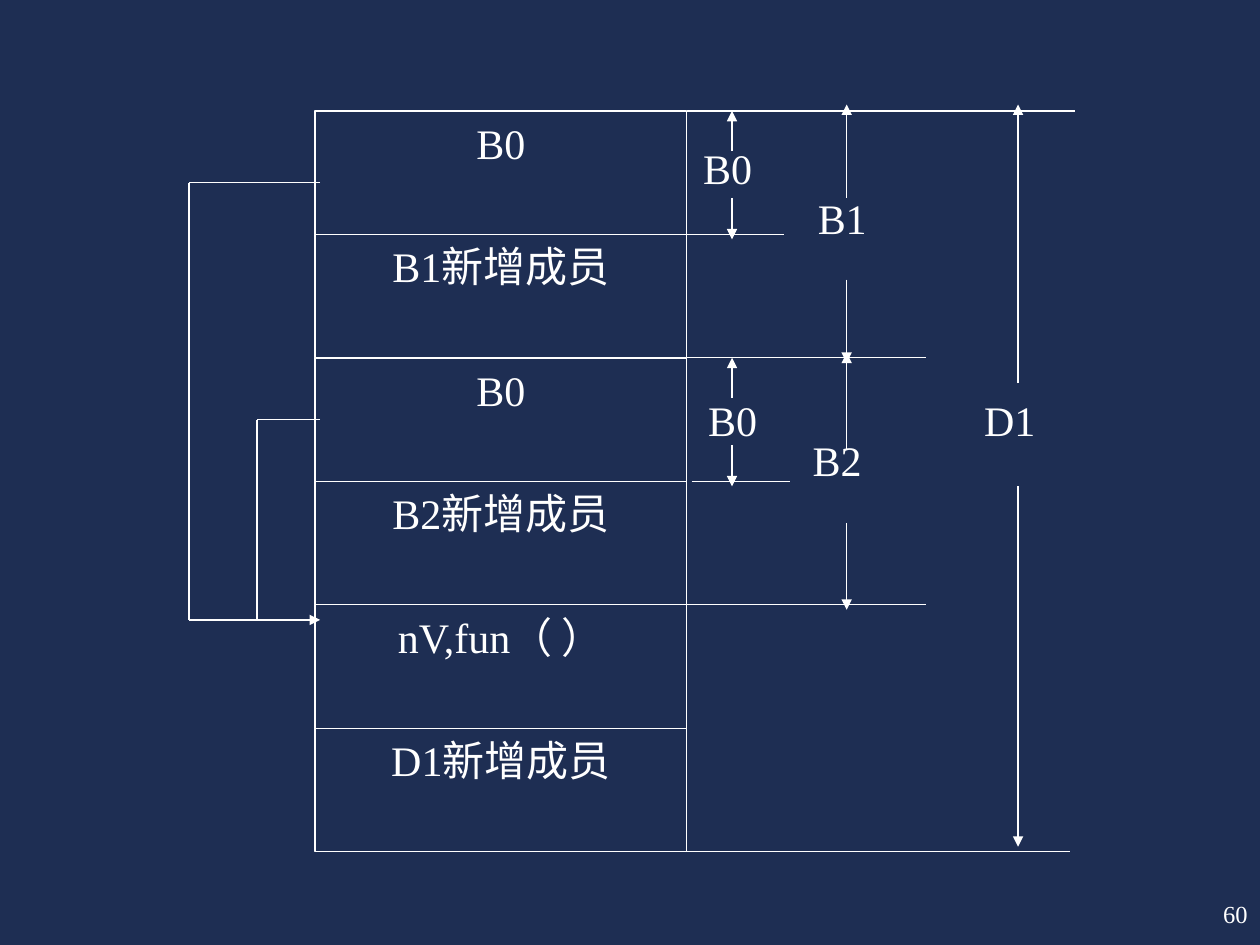
from dataclasses import dataclass

from lxml import etree
from pptx import Presentation
from pptx.dml.color import RGBColor
from pptx.enum.shapes import MSO_CONNECTOR, MSO_SHAPE
from pptx.enum.text import MSO_ANCHOR, PP_ALIGN
from pptx.oxml.ns import qn
from pptx.util import Inches, Pt

RECTANGLE = MSO_SHAPE.RECTANGLE
STRAIGHT = MSO_CONNECTOR.STRAIGHT
TOP, MIDDLE = MSO_ANCHOR.TOP, MSO_ANCHOR.MIDDLE
CENTER, JUSTIFY, RIGHT = PP_ALIGN.CENTER, PP_ALIGN.JUSTIFY, PP_ALIGN.RIGHT


@dataclass(frozen=True)
class Theme:
    """Colours, font and sizes of the slide."""
    background: RGBColor = RGBColor(0x1E, 0x2E, 0x53)
    foreground: RGBColor = RGBColor(0xFF, 0xFF, 0xFF)
    font: str = "Times New Roman"
    body_size: Pt = Pt(24)
    number_size: Pt = Pt(14)
    line_width: Pt = Pt(0.75)


@dataclass(frozen=True)
class Box:
    """A region of the slide."""
    left: Inches
    top: Inches
    width: Inches
    height: Inches


THEME = Theme()
MEMBERS = ["B0", "B1新增成员", "B0", "B2新增成员", "nV,fun（ ）", "D1新增成员"]
ROW_HEIGHT = Inches(0.98)
TICKS = [(0, 0, 3.08), (1, 0, 0.77), (2, 0, 1.9), (3, 0.04, 0.82), (4, 0, 1.9), (6, -0.05, 3.04)]
SPANS = [
    ("B0", 0.36, (0, 0.32, 0.69, 1.02), (0.13, 0.25)),
    ("B0", 0.36, (1.96, 2.28, 2.65, 2.98), (0.17, 2.25)),
    ("B1", 1.27, (-0.05, 0.69, 1.34, 2), (1.04, 0.65)),
    ("B2", 1.27, (1.92, 2.69, 3.27, 3.96), (1, 2.57)),
    ("D1", 2.63, (-0.05, 2.16, 2.98, 5.84), (2.36, 2.25)),
]


def write_text(shape, text, size, alignment, anchor, side_margin, end_margin):
    """Fill a shape with one formatted paragraph."""
    frame = shape.text_frame
    frame.text = text
    frame.word_wrap = True
    frame.vertical_anchor = anchor
    frame.margin_left = frame.margin_right = side_margin
    frame.margin_top = frame.margin_bottom = end_margin
    paragraph = frame.paragraphs[0]
    paragraph.alignment = alignment
    font = paragraph.runs[0].font
    font.name, font.size = THEME.font, size
    font.color.rgb = THEME.foreground


def add_line(slide, start, end, arrow=False):
    """Draw a straight line, with an arrowhead at its end on request."""
    connector = slide.shapes.add_connector(STRAIGHT, *start, *end)
    connector.line.color.rgb = THEME.foreground
    connector.line.width = THEME.line_width
    if arrow:
        etree.SubElement(connector.line._get_or_add_ln(), qn("a:tailEnd"), type="triangle")
    etree.SubElement(connector._element.spPr, qn("a:effectLst"))


def add_memory_stack(slide, box):
    """Stack one cell for each group of members."""
    for row, member in enumerate(MEMBERS):
        cell = slide.shapes.add_shape(
            RECTANGLE, box.left, box.top + row * ROW_HEIGHT, box.width, ROW_HEIGHT)
        cell.shadow.inherit = False
        cell.fill.background()
        cell.line.color.rgb = THEME.foreground
        cell.line.width = THEME.line_width
        write_text(cell, member, THEME.body_size, CENTER, TOP, 0, Inches(0.05))


def add_class_spans(slide, box):
    """Mark the extent of each class beside the stack."""
    for row, start, end in TICKS:
        height = box.top + row * ROW_HEIGHT
        add_line(slide, (box.left + Inches(start), height), (box.left + Inches(end), height))
    for name, offset, stops, (label_left, label_top) in SPANS:
        column = box.left + Inches(offset)
        upper_tip, upper_end, lower_end, lower_tip = [
            (column, box.top + Inches(stop)) for stop in stops]
        add_line(slide, upper_end, upper_tip, arrow=True)
        add_line(slide, lower_end, lower_tip, arrow=True)
        label = slide.shapes.add_textbox(
            box.left + Inches(label_left), box.top + Inches(label_top), Inches(0.82), Inches(0.61))
        write_text(label, name, THEME.body_size, JUSTIFY, TOP, 0, 0)


def add_base_pointers(slide, box):
    """Lead both B0 cells to the shared virtual base members."""
    right, bottom = box.left + box.width, box.top + box.height
    for across, down in ((0, 0), (0.54, 1.88)):
        left, top = box.left + Inches(across), box.top + Inches(down)
        add_line(slide, (right, top), (left, top))
        add_line(slide, (left, top), (left, bottom))
    add_line(slide, (box.left, bottom), (right, bottom), arrow=True)


def add_slide_number(slide, box):
    """Write the slide number."""
    number = slide.shapes.add_textbox(box.left, box.top, box.width, box.height)
    write_text(number, "60", THEME.number_size, RIGHT, MIDDLE, Inches(0.1), Inches(0.05))


def main():
    """Build and save the presentation."""
    presentation = Presentation()
    presentation.slide_width, presentation.slide_height = Inches(10), Inches(7.5)
    slide = presentation.slides.add_slide(presentation.slide_layouts[6])
    slide.background.fill.solid()
    slide.background.fill.fore_color.rgb = THEME.background
    stack_height = len(MEMBERS) * ROW_HEIGHT
    add_memory_stack(slide, Box(Inches(2.5), Inches(0.88), Inches(2.95), stack_height))
    add_class_spans(slide, Box(Inches(5.45), Inches(0.88), Inches(3.08), stack_height))
    add_base_pointers(slide, Box(Inches(1.5), Inches(1.45), Inches(1.04), Inches(3.47)))
    add_slide_number(slide, Box(Inches(7.92), Inches(7), Inches(2.08), Inches(0.5)))
    presentation.save("out.pptx")


if __name__ == "__main__":
    main()
